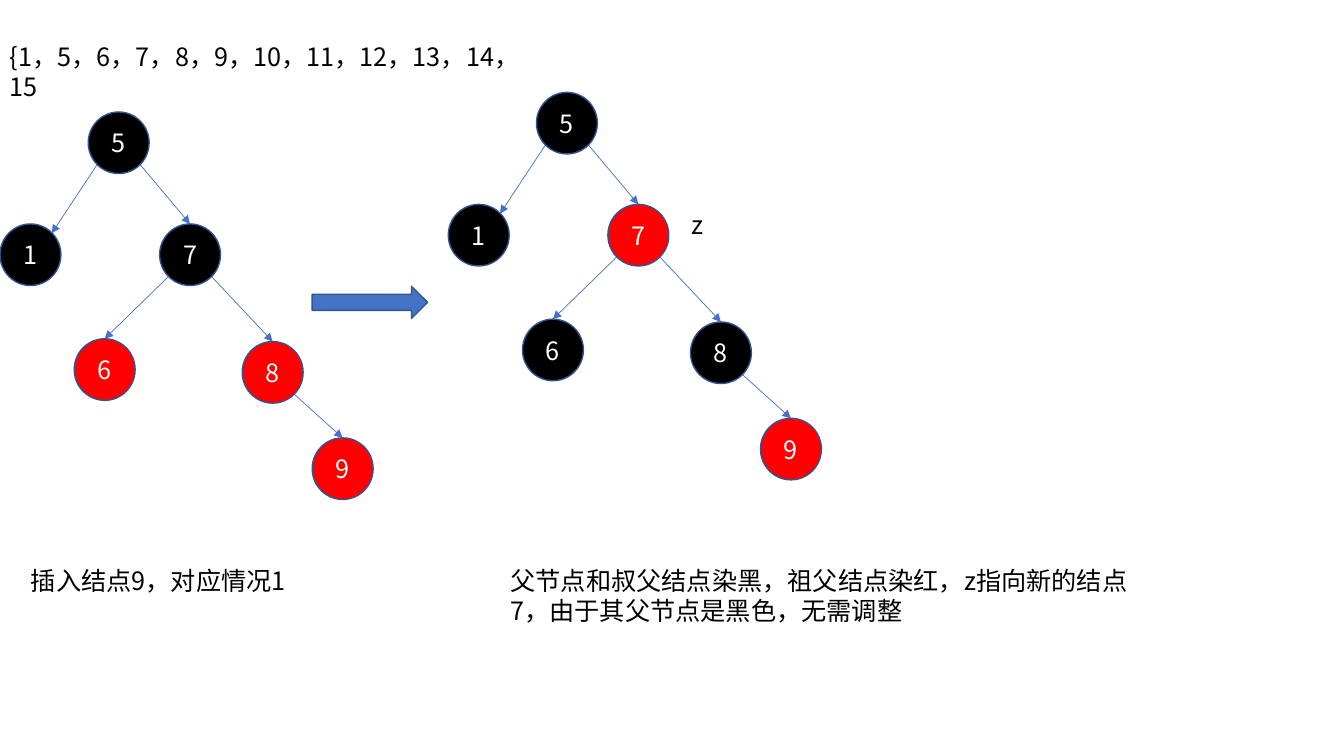
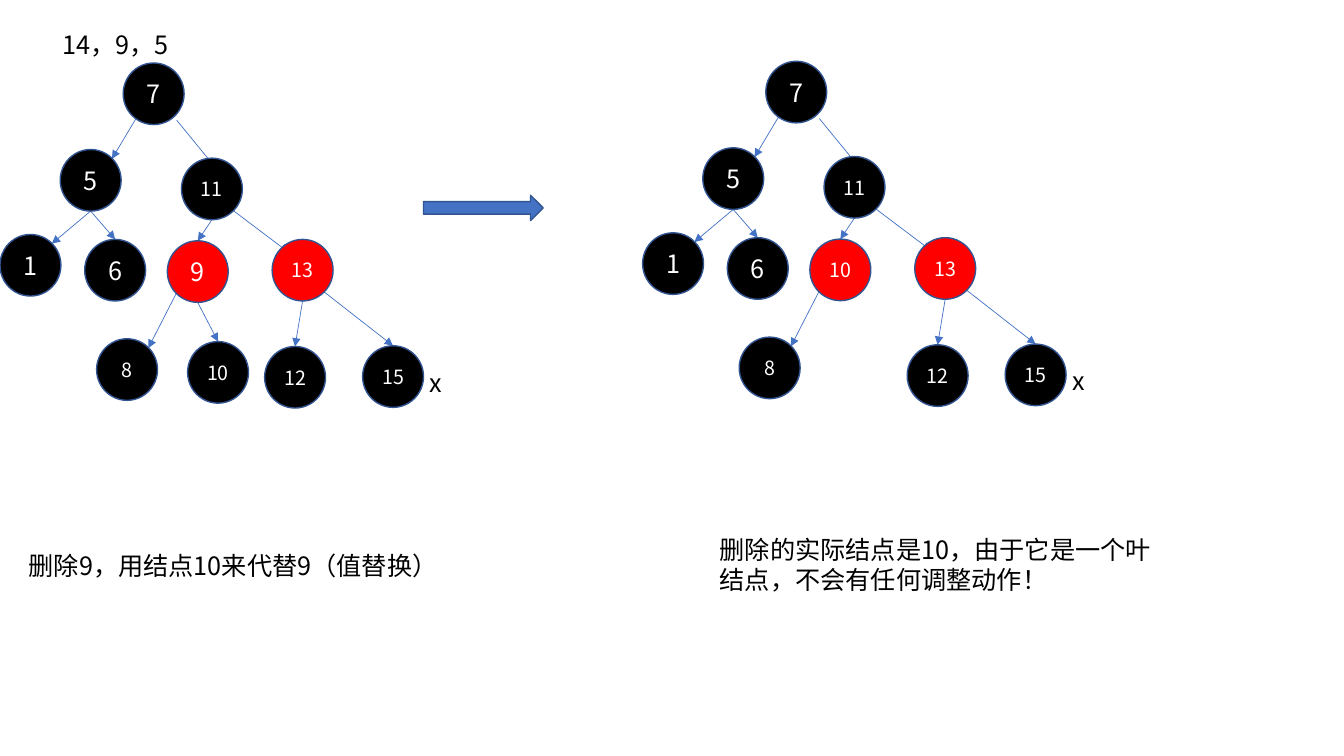
from lxml import etree
from pptx import Presentation
from pptx.dml.color import RGBColor
from pptx.enum.lang import MSO_LANGUAGE_ID as Language
from pptx.enum.shapes import MSO_CONNECTOR as Connector, MSO_SHAPE as Preset
from pptx.enum.text import MSO_ANCHOR as Anchor, MSO_AUTO_SIZE as AutoSize, PP_ALIGN as Align
from pptx.oxml.ns import qn
from pptx.util import Pt

COLOURS = {"black": "000000", "red": "FF0000", "white": "FFFFFF",
           "accent": "4472C4", "outline": "325491"}
FONT = "Noto Sans CJK SC"
NODE_WIDTH, NODE_HEIGHT = 43.5, 44

# Points of a node, as fractions of its width and height
SITES = {"top": (0.5, 0), "top right": (0.85, 0.15), "bottom": (0.5, 1),
         "bottom left": (0.15, 0.85), "bottom right": (0.85, 0.85),
         "middle": (0.52, 0.39), "outer right": (0.88, 0.93),
         "inner right": (0.73, 0.36), "inner left": (0.27, 0.21)}

NODE_TEXT = {"margin_left": 0, "margin_right": 0, "margin_top": 0,
             "margin_bottom": 0, "vertical_anchor": Anchor.MIDDLE}
BOX_TEXT = {"word_wrap": True, "auto_size": AutoSize.SHAPE_TO_FIT_TEXT}

INSERTION_TREE = {
    "nodes": {"5": (63, 80), "1": (0, 160), "7": (114, 160),
              "6": (53, 242), "8": (173, 244), "9": (223, 312.8)},
    "edges": [("5", "bottom left", "1", "top right"),
              ("5", "bottom right", "7", "top"),
              ("7", "bottom left", "6", "top"),
              ("7", "bottom right", "8", "top"),
              ("8", "bottom right", "9", "top")],
    "small": (),
}
DELETION_TREE = {
    "nodes": {"7": (88, 45), "5": (43, 106.8), "11": (129.6, 113),
              "1": (0, 167.5), "6": (60.5, 171), "9": (119.5, 172),
              "13": (194.4, 171), "8": (69, 242), "10": (134, 244),
              "12": (189, 247.5), "15": (259, 247)},
    "edges": [("7", "middle", "5", "top right"),
              ("7", "outer right", "11", "inner right"),
              ("5", "bottom", "1", "top right"),
              ("5", "bottom", "6", "top"),
              ("11", "bottom", "9", "top"),
              ("11", "bottom right", "13", "inner left"),
              ("9", "bottom left", "8", "top right"),
              ("9", "bottom", "10", "top"),
              ("13", "bottom", "12", "top"),
              ("13", "bottom right", "15", "top")],
    "small": ("8", "10", "11", "12", "13", "15"),
}


def colour(name):
    return RGBColor.from_string(COLOURS[name])


def set_all(target, values):
    for name, value in values.items():
        setattr(target, name, value)


def write(frame, text, color, size=18, align=Align.LEFT):
    paragraph = frame.paragraphs[0]
    paragraph.alignment = align
    run = paragraph.add_run()
    run.text = text
    set_all(run.font, {"name": FONT, "size": Pt(size), "language_id": Language.SIMPLIFIED_CHINESE})
    run.font.color.rgb = colour(color)
    etree.SubElement(run.font._element, qn("a:ea"), typeface=FONT)


def add_text(slide, text, left, top, width, height=29):
    frame = slide.shapes.add_textbox(Pt(left), Pt(top), Pt(width), Pt(height)).text_frame
    set_all(frame, BOX_TEXT)
    write(frame, text, "black")


def add_filled(slide, preset, left, top, width, height, fill):
    shape = slide.shapes.add_shape(preset, Pt(left), Pt(top), Pt(width), Pt(height))
    shape.shadow.inherit = False
    shape.fill.solid()
    shape.fill.fore_color.rgb = colour(fill)
    shape.line.color.rgb = colour("outline")
    shape.line.width = Pt(1)
    return shape


def add_node(slide, label, left, top, fill, size):
    shape = add_filled(slide, Preset.FLOWCHART_CONNECTOR, left, top,
                       NODE_WIDTH, NODE_HEIGHT, fill)
    set_all(shape.text_frame, NODE_TEXT)
    write(shape.text_frame, label, "white", size, Align.CENTER)


def add_edge(slide, start, end):
    points = [Pt(value) for value in (*start, *end)]
    connector = slide.shapes.add_connector(Connector.STRAIGHT, *points)
    connector.line.color.rgb = colour("accent")
    connector.line.width = Pt(0.5)
    etree.SubElement(connector.line._get_or_add_ln(), qn("a:tailEnd"), type="triangle")
    etree.SubElement(connector._element.spPr, qn("a:effectLst"))


def add_tree(slide, tree, red, offset=(0, 0), removed=(), renamed=None):
    """Draw a tree moved by offset; removed nodes lose their edges too."""
    labels = renamed or {}
    places = {key: (left + offset[0], top + offset[1])
              for key, (left, top) in tree["nodes"].items() if key not in removed}

    def site(key, name):
        (left, top), (across, down) = places[key], SITES[name]
        return left + across * NODE_WIDTH, top + down * NODE_HEIGHT

    for parent, start, child, end in tree["edges"]:
        if child in places:
            add_edge(slide, site(parent, start), site(child, end))
    for key, (left, top) in places.items():
        label = labels.get(key, key)
        size = 14 if label in tree["small"] else 18
        add_node(slide, label, left, top, "red" if key in red else "black", size)


def build_insertion(slide):
    add_text(slide, "{1，5，6，7，8，9，10，11，12，13，14，15", 0, 26, 392.5)
    add_tree(slide, INSERTION_TREE, {"6", "8", "9"})
    add_filled(slide, Preset.RIGHT_ARROW, 223, 204.5, 82.5, 23, "accent")
    add_tree(slide, INSERTION_TREE, {"7", "9"}, offset=(320.2, -14))
    add_text(slide, "z", 486.5, 146, 59)
    add_text(slide, "插入结点9，对应情况1", 15, 400, 326)
    add_text(slide, "父节点和叔父结点染黑，祖父结点染红，z指向新的结点7，由于其父节点是黑色，无需调整",
             357.5, 400, 480, 51)


def build_deletion(slide):
    offset = (459, -1.2)
    add_text(slide, "14，9，5", 37.5, 17.5, 194.5)
    add_tree(slide, DELETION_TREE, {"9", "13"})
    add_filled(slide, Preset.RIGHT_ARROW, 302.5, 139.5, 85.5, 18, "accent")
    add_tree(slide, DELETION_TREE, {"9", "13"}, offset, {"10"}, {"9": "10"})
    for left, top in ((0, 0), offset):
        add_text(slide, "x", 299.75 + left, 258.5 + top, 24.5)
    add_text(slide, "删除9，用结点10来代替9（值替换）", 13.5, 389.5, 335.5)
    add_text(slide, "删除的实际结点是10，由于它是一个叶结点，不会有任何调整动作！",
             507, 378, 335.5, 51)


def main():
    presentation = Presentation()
    set_all(presentation, {"slide_width": Pt(960), "slide_height": Pt(540)})
    for build in (build_insertion, build_deletion):
        build(presentation.slides.add_slide(presentation.slide_layouts[6]))
    presentation.save("out.pptx")


if __name__ == "__main__":
    main()
